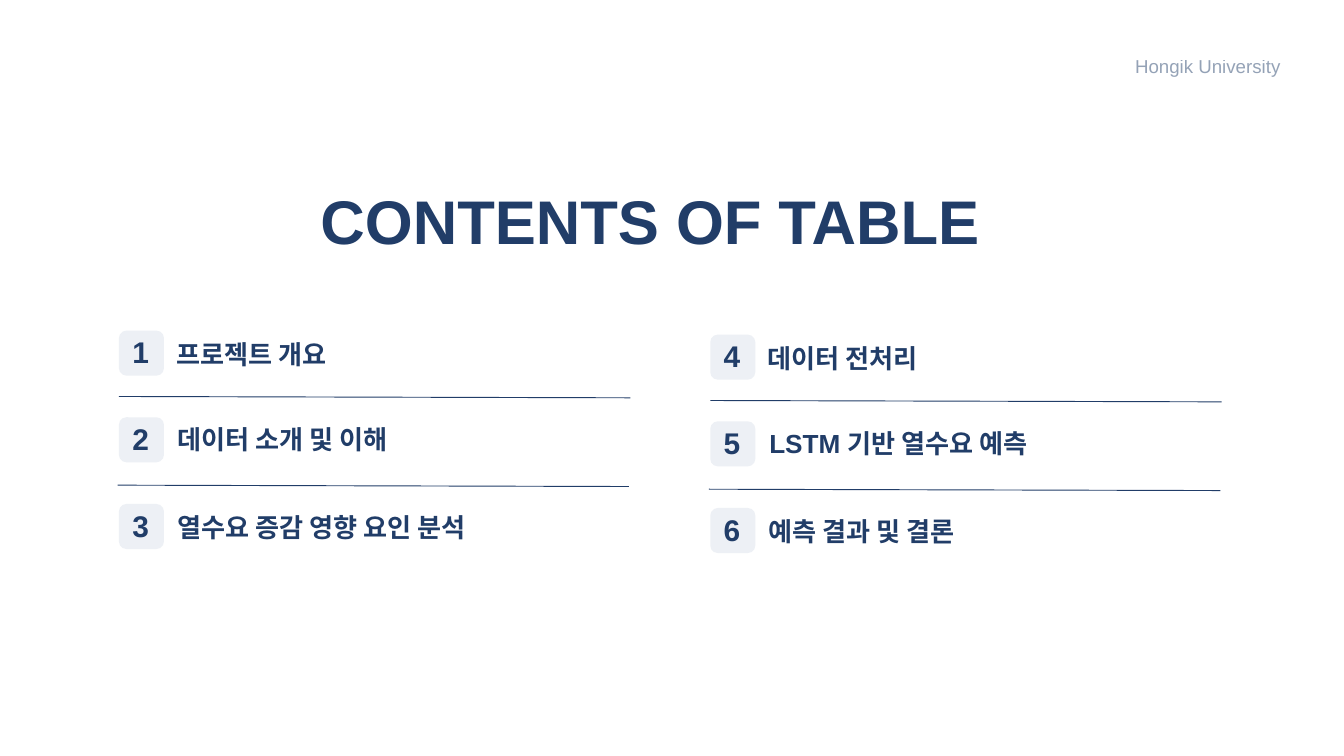
from lxml import etree
from pptx import Presentation
from pptx import util as u
from pptx.dml.color import RGBColor
from pptx.enum import shapes, text
from pptx.oxml.ns import qn

PX = 9144
NAVY = RGBColor(0x21, 0x3D, 0x68)
HEADER = RGBColor(0x21, 0x3E, 0x68)
PALE = RGBColor(0xED, 0xF0, 0xF5)
FONT = "Arial"

COLUMNS = [
    (177, 492, [("프로젝트 개요", 270), ("데이터 소개 및 이해", 376), ("열수요 증감 영향 요인 분석", 508)]),
    (1057, 498, [("데이터 전처리", 270), ("LSTM 기반 열수요 예측", 454), ("예측 결과 및 결론", 337)]),
]
ROW_PITCH = 129
LABEL_OFFSETS = [(76, 7), (78, 4), (77, 6)]
RULE_OFFSETS = [(0, 98), (-2, 230)]


def px(*values):
    return [u.Emu(v * PX) for v in values]


def write(tf, content, size, color=NAVY, bold=True, align=None, spacing=None, alpha=None):
    p = tf.paragraphs[0]
    p.alignment = align
    p.line_spacing = spacing
    r = p.add_run()
    r.text = content
    r.font.name = FONT
    r.font.size = u.Pt(size)
    r.font.bold = bold
    r.font.color.rgb = color
    if alpha is not None:
        clr = r.font.fill._xPr.find(qn("a:solidFill"))[0]
        etree.SubElement(clr, qn("a:alpha")).set("val", str(alpha * 1000))


class Deck:
    def __init__(self, width, height):
        self.prs = Presentation()
        self.prs.slide_width, self.prs.slide_height = px(width, height)
        self.s = self.prs.slides.add_slide(self.prs.slide_layouts[5])

    def title(self, x, y, w, h, content, **style):
        sp = self.s.shapes.title
        sp.left, sp.top, sp.width, sp.height = px(x, y, w, h)
        tf = sp.text_frame
        tf.word_wrap = True
        tf.auto_size = text.MSO_AUTO_SIZE.NONE
        tf.vertical_anchor = text.MSO_ANCHOR.TOP
        write(tf, content, align=text.PP_ALIGN.CENTER, **style)

    def header(self, x, y, w, h, content, **style):
        tf = self.s.shapes.add_textbox(*px(x, y, w, h)).text_frame
        tf.word_wrap = True
        tf.margin_left = tf.margin_top = tf.margin_right = tf.margin_bottom = 0
        write(tf, content, **style)

    def label(self, x, y, w, h, content, **style):
        tf = self.s.shapes.add_textbox(*px(x, y, w, h)).text_frame
        tf.word_wrap = False
        tf.auto_size = text.MSO_AUTO_SIZE.SHAPE_TO_FIT_TEXT
        write(tf, content, **style)

    def badge(self, x, y, number):
        sp = self.s.shapes.add_shape(shapes.MSO_SHAPE.ROUNDED_RECTANGLE, *px(x, y, 67, 67))
        sp.shadow.inherit = False
        sp.fill.solid()
        sp.fill.fore_color.rgb = PALE
        sp.line.fill.background()
        self.label(x + 10, y, 46, 64, str(number), size=32)

    def rule(self, x, y):
        ln = self.s.shapes.add_connector(
            shapes.MSO_CONNECTOR.STRAIGHT, *px(x, y, x + 761, y + 2))
        ln.line.color.rgb = NAVY
        ln.line.width = u.Pt(1)
        etree.SubElement(ln._element.spPr, qn("a:effectLst"))


def main():
    deck = Deck(2000, 1125)
    deck.header(1689, 80, 218, 49, "Hongik University", size=20,
                color=HEADER, bold=False, spacing=1.05, alpha=48)
    deck.title(142, 212, 1651, 155, "CONTENTS OF TABLE", size=66, spacing=1.5)
    number = 1
    for x, top, items in COLUMNS:
        for row, (content, width) in enumerate(items):
            y = top + row * ROW_PITCH
            dx, dy = LABEL_OFFSETS[row]
            deck.badge(x, y, number)
            deck.label(x + dx, y + dy, width, 57, content, size=28)
            number += 1
        for dx, dy in RULE_OFFSETS:
            deck.rule(x + dx, top + dy)
    deck.prs.save("out.pptx")


if __name__ == "__main__":
    main()
